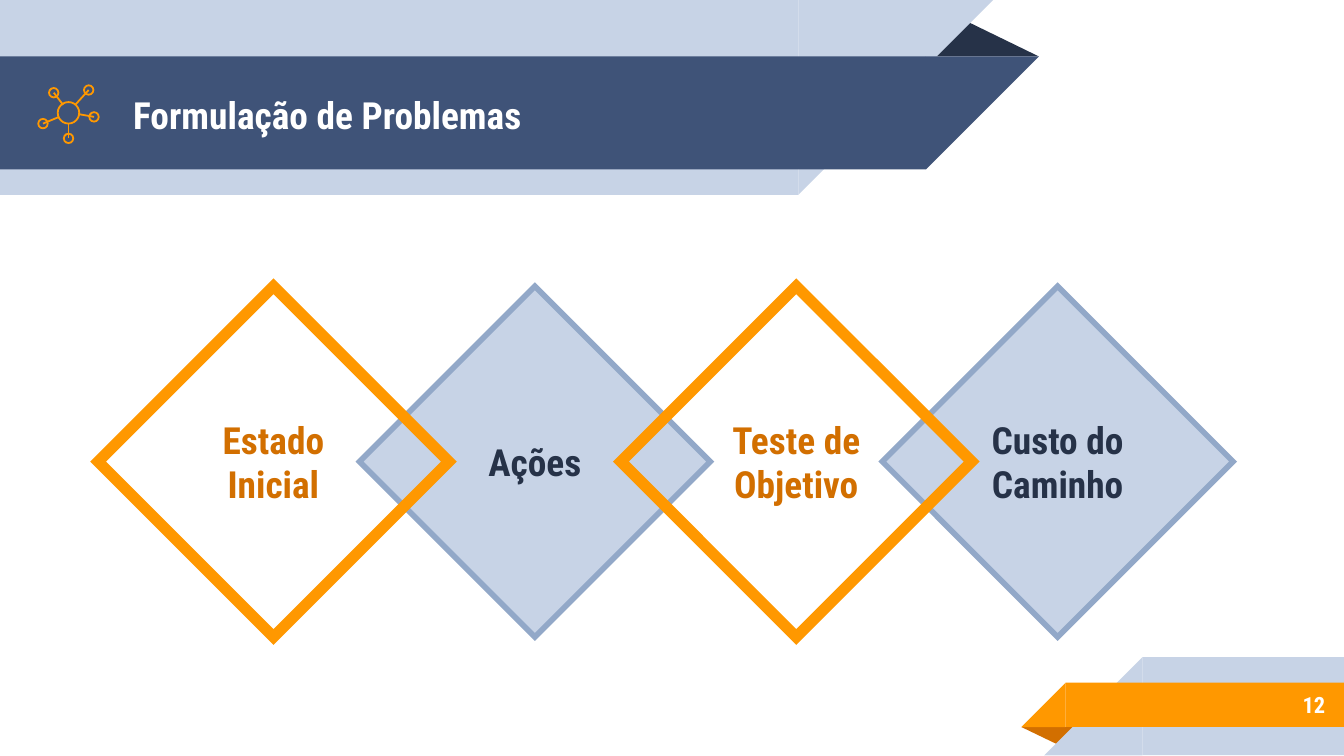
"""Builds the problem formulation slide with its ribbons, icon and four diamonds."""
from lxml import etree
from pptx import Presentation
from pptx import util as u
from pptx.dml.color import RGBColor
from pptx.enum import shapes, text
from pptx.oxml.ns import qn

COLORS = {
    "pale": "C7D3E6", "edge": "92A8C8", "blue": "3F5378", "navy": "263248",
    "orange": "FF9800", "rust": "D26F00", "white": "FFFFFF",
}
KIND = shapes.MSO_SHAPE
ALIGN = text.PP_ALIGN


def rgb(name):
    return RGBColor.from_string(COLORS[name])


def write(box, words, *, color="white", size=20, align=ALIGN.LEFT, font="Roboto Condensed"):
    frame = box.text_frame
    frame.word_wrap = True
    frame.auto_size = text.MSO_AUTO_SIZE.NONE
    frame.vertical_anchor = text.MSO_ANCHOR.MIDDLE
    frame.margin_left = frame.margin_right = u.Inches(0.1)
    frame.margin_top = frame.margin_bottom = u.Inches(0.1)
    para = frame.paragraphs[0]
    para.alignment = align
    span = para.add_run()
    span.text = words
    span.font.name = font
    span.font.size = u.Pt(size)
    span.font.bold = True
    span.font.color.rgb = rgb(color)


class Painter:
    def __init__(self, page):
        self.page = page

    def shape(self, kind, left, top, width, height, fill=None, line=None, weight=1, turn=0):
        item = self.page.shapes.add_shape(kind, *map(u.Inches, (left, top, width, height)))
        item.shadow.inherit = False
        item.rotation = turn
        if fill:
            item.fill.solid()
            item.fill.fore_color.rgb = rgb(fill)
        else:
            item.fill.background()
        if line:
            item.line.color.rgb = rgb(line)
            item.line.width = u.Pt(weight)
            etree.SubElement(item.element.spPr.find(qn("a:ln")), qn("a:miter"), lim="800000")
        else:
            item.line.fill.background()
        return item

    def fold(self, left, top, width, height, fill, turn=0):
        item = self.shape(KIND.ISOSCELES_TRIANGLE, left, top, width, height, fill, turn=turn)
        item.adjustments[0] = 0.324

    def ribbon_right(self, top, width, height, fill):
        self.shape(KIND.RECTANGLE, 0, top, width, height, fill)
        self.shape(KIND.RIGHT_TRIANGLE, width, top, height, height, fill, turn=90)

    def ribbon_left(self, left, top, height, fill):
        self.shape(KIND.RIGHT_TRIANGLE, left, top, height, height, fill, turn=270)
        self.shape(KIND.RECTANGLE, left + height, top, 10 - left - height, height, fill)

    def ring(self, x, y, size):
        self.shape(KIND.OVAL, x - size / 2, y - size / 2, size, size, line="orange", weight=0.96)

    def spoke(self, *ends):
        wire = self.page.shapes.add_connector(shapes.MSO_CONNECTOR.STRAIGHT, *map(u.Inches, ends))
        wire.line.color.rgb = rgb("orange")
        wire.line.width = u.Pt(0.96)
        etree.SubElement(wire.element.spPr, qn("a:effectLst"))

    def diamond(self, column, words, color, fill, line, weight):
        left = 0.73 + 1.945 * column
        item = self.shape(KIND.DIAMOND, left, 2.13, 2.61, 2.61, fill, line, weight)
        write(item, words, color=color, align=ALIGN.CENTER)

    def title(self, words):
        box = self.page.shapes.title
        box.left, box.top, box.width, box.height = map(u.Inches, (0.89, 0.43, 5.75, 0.84))
        write(box, words)
        box.element.getparent().append(box.element)

    def number(self, words):
        box = self.page.shapes.add_textbox(*map(u.Inches, (8.33, 5.07, 1.63, 0.35)))
        write(box, words, size=12, align=ALIGN.RIGHT)


def main():
    deck = Presentation()
    deck.slide_width = u.Inches(10)
    deck.slide_height = deck.slide_width * 9 // 16
    painter = Painter(deck.slides.add_slide(deck.slide_layouts[5]))

    painter.fold(6.88, 0.14, 0.85, 0.28, "navy")
    painter.ribbon_right(0, 5.94, 1.45, "pale")
    painter.ribbon_right(0.42, 6.89, 0.84, "blue")
    painter.fold(7.6, 5.41, 0.43, 0.14, "rust", turn=180)
    painter.ribbon_left(7.77, 4.89, 0.73, "pale")
    painter.ribbon_left(7.6, 5.08, 0.33, "orange")

    filled = ("navy", "pale", "edge", 3)
    outlined = ("rust", None, "orange", 6)
    painter.diamond(3, "Custo do Caminho", *filled)
    painter.title("Formulação de Problemas")
    painter.number("12")

    painter.ring(0.51, 0.84, 0.16)
    for x, y, hub_x, hub_y in (
        (0.66, 0.67, 0.56, 0.78), (0.4, 0.69, 0.47, 0.78), (0.32, 0.92, 0.44, 0.87),
        (0.51, 1.03, 0.51, 0.92), (0.7, 0.87, 0.59, 0.85),
    ):
        painter.ring(x, y, 0.07)
        painter.spoke(x, y, hub_x, hub_y)

    painter.diamond(1, "Ações", *filled)
    painter.diamond(0, "Estado Inicial", *outlined)
    painter.diamond(2, "Teste de Objetivo", *outlined)

    deck.save("out.pptx")


if __name__ == "__main__":
    main()
